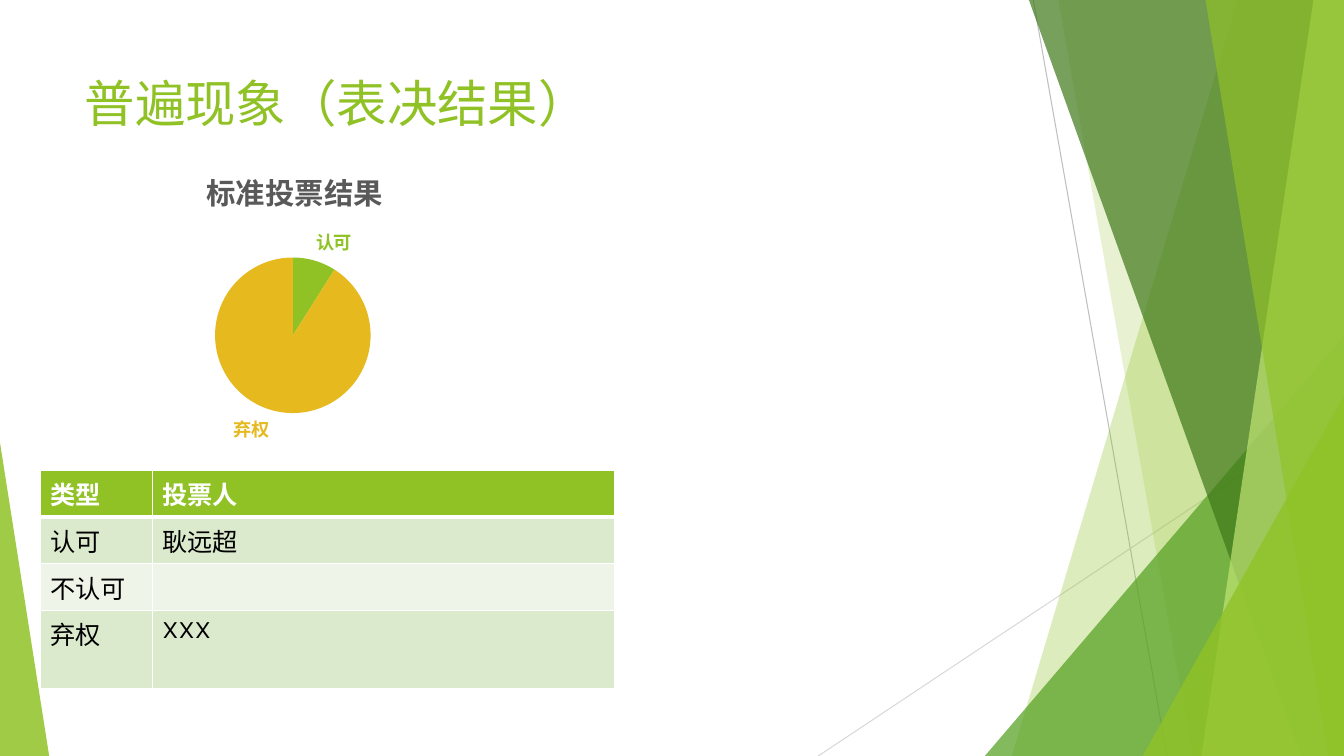
import dataclasses
import lxml.etree
import pptx
import pptx.chart.data
import pptx.dml.color
import pptx.enum.chart
import pptx.enum.shapes
import pptx.enum.text
import pptx.oxml.ns
import pptx.util

Cm = pptx.util.Cm
Pt = pptx.util.Pt
qn = pptx.oxml.ns.qn
WIDE, HIGH = 33.87, 19.05


@dataclasses.dataclass(frozen=True)
class Theme:
    font: str = "Karla"
    lime: str = "90C226"
    green: str = "54A021"
    dark: str = "3F7819"
    pale: str = "C0E474"
    gold: str = "E6B91E"
    grey: str = "595959"
    white: str = "FFFFFF"
    black: str = "000000"
    rules: tuple = ("BFBFBF", "D9D9D9")
    bands: tuple = ("DBE9CD", "EEF4E8")
    title: float = 36
    head: float = 21
    cell: float = 18
    label: float = 13


def color(code):
    return pptx.dml.color.RGBColor.from_string(code)


def apply(target, values):
    for name, value in values.items():
        setattr(target, name, value)


def add(parent, tag, **values):
    return lxml.etree.SubElement(parent, qn(tag), values)


def layout(parent, **values):
    node = parent.find(qn("c:layout"))
    if node is None:
        node = add(parent, "c:layout")
        parent.insert(0, node)
    manual = add(node, "c:manualLayout")
    if "w" in values:
        add(manual, "c:layoutTarget", val="inner")
    for side in "xy":
        add(manual, f"c:{side}Mode", val="edge")
    for name, value in values.items():
        add(manual, f"c:{name}", val=str(value))


class Deck:
    def __init__(self, theme):
        self.theme = theme
        self.show = pptx.Presentation()
        apply(self.show, {"slide_width": Cm(WIDE), "slide_height": Cm(HIGH)})
        self.slide = self.show.slides.add_slide(self.show.slide_layouts[5])
        self.shapes = self.slide.shapes

    def style(self, font, size, code, bold=False):
        apply(font, {"name": self.theme.font, "size": Pt(size), "bold": bold})
        font.color.rgb = color(code)

    def paint(self, shape, code, alpha):
        shape.shadow.inherit = False
        shape.fill.solid()
        shape.fill.fore_color.rgb = color(code)
        shape.line.fill.background()
        tint = shape.element.spPr.find(qn("a:solidFill"))[0]
        add(tint, "a:alpha", val=str(alpha * 1000))

    def line(self, start, end, code):
        kind = pptx.enum.shapes.MSO_CONNECTOR.STRAIGHT
        rule = self.shapes.add_connector(kind, *map(Cm, start + end))
        rule.line.width = Pt(0.75)
        rule.line.color.rgb = color(code)
        add(rule.element.spPr, "a:effectLst")

    def pane(self, top, foot, code, alpha):
        points = [(top, 0), (WIDE, 0), (WIDE, HIGH), (foot, HIGH)]
        points = [(Cm(x), Cm(y)) for x, y in points]
        path = self.shapes.build_freeform(*points[0])
        path.add_line_segments(points[1:], close=True)
        self.paint(path.convert_to_shape(), code, alpha)

    def wedge(self, left, top, width, peak, code, alpha):
        kind = pptx.enum.shapes.MSO_SHAPE.ISOSCELES_TRIANGLE
        box = map(Cm, (left, top, width, HIGH - top))
        shape = self.shapes.add_shape(kind, *box)
        shape.adjustments[0] = peak
        self.paint(shape, code, alpha)

    def title(self, text, left, top, width, height):
        shape = self.shapes.title
        apply(shape, {"left": Cm(left), "top": Cm(top),
                      "width": Cm(width), "height": Cm(height)})
        frame = shape.text_frame
        apply(frame, {"text": text, "word_wrap": True,
                      "auto_size": pptx.enum.text.MSO_AUTO_SIZE.NONE,
                      "vertical_anchor": pptx.enum.text.MSO_ANCHOR.TOP})
        line = frame.paragraphs[0]
        line.alignment = pptx.enum.text.PP_ALIGN.LEFT
        self.style(line.runs[0].font, self.theme.title, self.theme.lime)

    def pie(self, text, votes, codes, *box):
        data = pptx.chart.data.CategoryChartData()
        data.categories = list(votes)
        data.add_series("Series 1", list(votes.values()))
        kind = pptx.enum.chart.XL_CHART_TYPE.PIE
        chart = self.shapes.add_chart(kind, *map(Cm, box), data).chart
        self.style(chart.font, 10, self.theme.black)
        apply(chart, {"has_legend": False, "has_title": True})
        frame = chart.chart_title.text_frame
        frame.text = text
        self.style(frame.paragraphs[0].runs[0].font,
                   self.theme.head, self.theme.grey, True)
        plot = chart.plots[0]
        plot.vary_by_categories = True
        series = plot.series[0]
        series.data_labels.show_value = False
        for index, (code, value) in enumerate(zip(codes, votes.values())):
            point = series.points[index]
            point.format.fill.solid()
            point.format.fill.fore_color.rgb = color(code)
            point.format.line.fill.background()
            if value:
                label = point.data_label
                self.style(label.font, self.theme.label, code, True)
                label.position = pptx.enum.chart.XL_LABEL_POSITION.OUTSIDE_END
        for label in chart.element.iter(qn("c:dLbl")):
            label.find(qn("c:showVal")).set("val", "0")
            label.find(qn("c:showCatName")).set("val", "1")
        layout(chart.chart_title.element if hasattr(chart.chart_title, "element")
               else next(chart.element.iter(qn("c:title"))), x=0.29, y=0.07)
        layout(next(chart.element.iter(qn("c:plotArea"))),
               x=0.32, y=0.37, w=0.36, h=0.49)

    def edges(self, cell, head):
        props = cell._tc.get_or_add_tcPr()
        for index, side in enumerate(("lnL", "lnR", "lnT", "lnB")):
            width = Pt(3 if head and side == "lnB" else 1)
            edge = lxml.etree.Element(qn(f"a:{side}"), {"w": str(width)})
            add(add(edge, "a:solidFill"), "a:srgbClr", val=self.theme.white)
            props.insert(index, edge)

    def table(self, rows, left, top, widths, heights):
        box = map(Cm, (left, top, sum(widths), sum(heights)))
        grid = self.shapes.add_table(len(rows), len(widths), *box).table
        for column, width in zip(grid.columns, widths):
            column.width = Cm(width)
        for index, (row, words) in enumerate(zip(grid.rows, rows)):
            row.height = Cm(heights[index])
            head = index == 0
            back = self.theme.lime if head else self.theme.bands[(index - 1) % 2]
            ink = self.theme.white if head else self.theme.black
            for cell, word in zip(row.cells, words):
                cell.text = word
                self.style(cell.text_frame.paragraphs[0].font,
                           self.theme.cell, ink, head)
                cell.fill.solid()
                cell.fill.fore_color.rgb = color(back)
                self.edges(cell, head)


def main():
    theme = Theme()
    deck = Deck(theme)
    deck.line((26.04, 0), (29.41, HIGH), theme.rules[0])
    deck.line((WIDE, 10.24), (20.62, HIGH), theme.rules[1])
    deck.pane(31.19, 25.5, theme.lime, 30)
    deck.pane(26.67, 30.05, theme.lime, 20)
    deck.wedge(24.82, 8.46, 9.05, 1, theme.green, 72)
    deck.pane(25.93, 32.79, theme.dark, 70)
    deck.pane(33.1, 30.28, theme.pale, 70)
    deck.pane(30.38, 33.48, theme.lime, 65)
    deck.wedge(28.8, 9.98, 5.07, 1, theme.lime, 80)
    deck.wedge(0, 11.15, 1.24, 0, theme.lime, 85)
    deck.title("普遍现象（表决结果）", 1.88, 1.7, 23.88, 3.66)
    deck.pie("标准投票结果", {"认可": 9, "不认可": 0, "弃权": 91},
             (theme.lime, theme.green, theme.gold), 1.88, 3.53, 11, 8)
    deck.table([("类型", "投票人"), ("认可", "耿远超"),
                ("不认可", ""), ("弃权", "XXX")],
               1.02, 11.86, (2.82, 11.66), (1.17, 1.17, 1.17, 1.97))
    deck.show.save("out.pptx")


if __name__ == "__main__":
    main()
